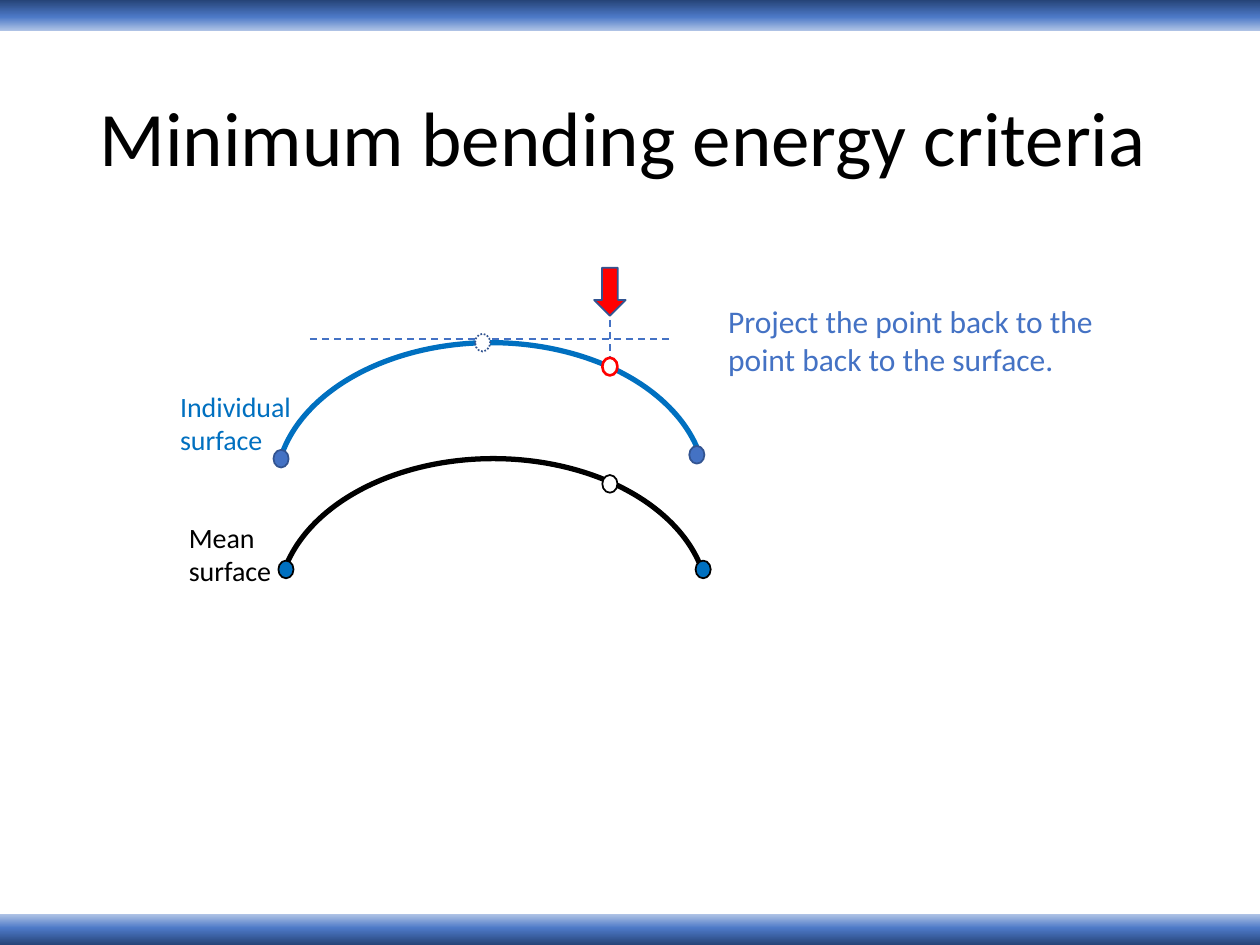
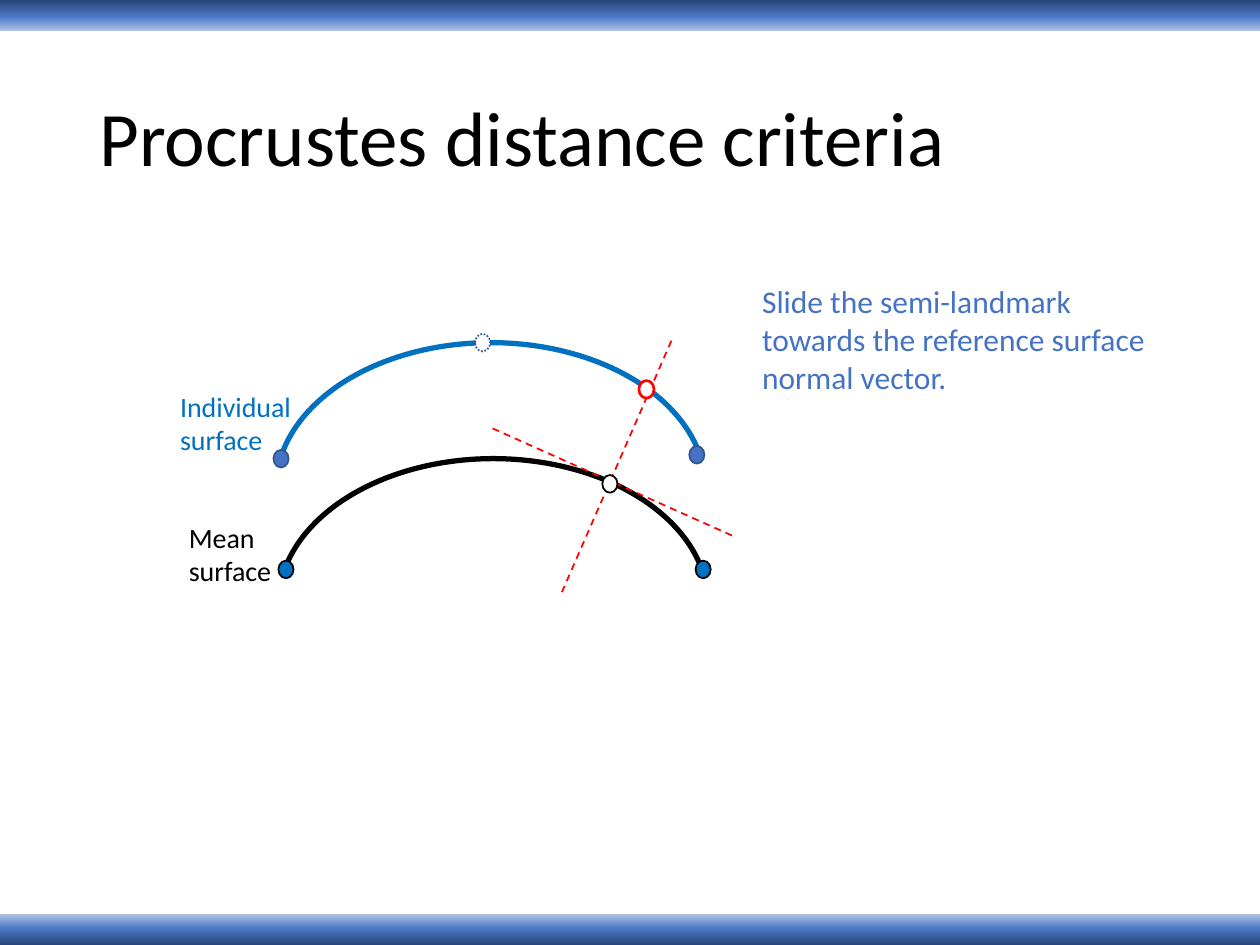
from copy import deepcopy

from lxml import etree
from pptx import Presentation
from pptx.dml.color import RGBColor
from pptx.enum import dml, shapes, text
from pptx.oxml import ns
from pptx.util import Pt

WHITE = RGBColor(0xFF, 0xFF, 0xFF)
BLACK = RGBColor(0x00, 0x00, 0x00)
RED = RGBColor(0xFF, 0x00, 0x00)
ACCENT = RGBColor(0x44, 0x72, 0xC4)
OUTLINE = RGBColor(0x32, 0x54, 0x91)
SURFACE_BLUE = RGBColor(0x00, 0x70, 0xC0)
BAND_STOPS = (
    (0, RGBColor(0xB4, 0xC7, 0xE7)),
    (0.46, RGBColor(0x4D, 0x79, 0xC7)),
    (1, RGBColor(0x26, 0x44, 0x78)),
)

FONT = "Calibri"
WIDTH, HEIGHT, BAND = 720, 540, 18
ARC_WIDTH, ARC_HEIGHT = 245.5, 166.3
DOT_WIDTH, DOT_HEIGHT = 8.64, 10.08
DASH = dml.MSO_LINE.DASH
DOTTED = dml.MSO_LINE.ROUND_DOT
SHAPE = shapes.MSO_SHAPE


def style_line(line, color, weight, dash=None):
    line.color.rgb = color
    line.width = Pt(weight)
    if dash is not None:
        line.dash_style = dash


def add_figure(page, kind, left, top, width, height, fill=None):
    figure = page.shapes.add_shape(kind, Pt(left), Pt(top), Pt(width), Pt(height))
    figure.shadow.inherit = False
    if fill is None:
        figure.fill.background()
    else:
        figure.fill.solid()
        figure.fill.fore_color.rgb = fill
    return figure


def add_band(page, top, rotation):
    band = add_figure(page, SHAPE.RECTANGLE, 0, top, WIDTH, BAND)
    band.rotation = rotation
    band.line.fill.background()
    band.fill.gradient()
    band.fill.gradient_angle = 90
    stops = band.fill._xPr.find(".//" + ns.qn("a:gsLst"))
    stops.insert(1, deepcopy(stops[0]))
    for stop, (position, color) in zip(band.fill.gradient_stops, BAND_STOPS):
        stop.position = position
        stop.color.rgb = color


def add_text(page, words, left, top, width, height, size, color):
    box = page.shapes.add_textbox(Pt(left), Pt(top), Pt(width), Pt(height))
    box.text_frame.word_wrap = True
    para = box.text_frame.paragraphs[0]
    span = para.add_run()
    span.text = words
    span.font.name = FONT
    span.font.size = Pt(size)
    span.font.color.rgb = color
    return box


def add_title(page, words):
    box = add_text(page, words, 49.7, 28.8, 620.6, 104.4, 44, BLACK)
    box.text_frame.vertical_anchor = text.MSO_ANCHOR.MIDDLE
    box.text_frame.paragraphs[0].line_spacing = 0.9


def add_guide(page, color, start, end):
    guide = page.shapes.add_connector(
        shapes.MSO_CONNECTOR.STRAIGHT, *(Pt(value) for value in start + end))
    style_line(guide.line, color, 1, DASH)
    etree.SubElement(guide._element.spPr, ns.qn("a:effectLst"))


def add_surface(page, left, top, angles, color):
    arc = add_figure(page, SHAPE.ARC, left, top, ARC_WIDTH, ARC_HEIGHT)
    arc.adjustments[0], arc.adjustments[1] = angles
    style_line(arc.line, color, 3)


def add_landmark(page, center, fill, outline, weight=1, dash=None):
    x, y = center
    dot = add_figure(page, SHAPE.OVAL, x - DOT_WIDTH / 2, y - DOT_HEIGHT / 2,
                     DOT_WIDTH, DOT_HEIGHT, fill)
    style_line(dot.line, outline, weight, dash)


def add_push_arrow(page):
    arrow = add_figure(page, SHAPE.RIGHT_ARROW, 334.8, 157.7, 27.4, 18, RED)
    arrow.rotation = 90
    style_line(arrow.line, OUTLINE, 1)


def add_criteria_page(deck, title, guide_color, guides, slid_point):
    page = deck.slides.add_slide(deck.slide_layouts[6])
    add_band(page, 0, 0)
    add_band(page, HEIGHT - BAND, 180)
    add_title(page, title)

    add_surface(page, 159.1, 262.1, (112.88, 211.41), BLACK)
    for start, end in guides:
        add_guide(page, guide_color, start, end)
    add_surface(page, 157.7, 195.8, (112.12, 211.19), SURFACE_BLUE)

    for center in ((398.2, 259.9), (160.6, 262.1)):
        add_landmark(page, center, ACCENT, OUTLINE)
    for center in ((401.8, 325.4), (163.4, 325.4)):
        add_landmark(page, center, SURFACE_BLUE, BLACK)
    add_landmark(page, (348.5, 276.5), WHITE, BLACK)
    add_landmark(page, (275.8, 195.8), WHITE, OUTLINE, dash=DOTTED)
    add_landmark(page, slid_point, WHITE, RED, 1.5)

    add_text(page, "Individual surface", 95.8, 218.9, 123.1, 46.1, 16, SURFACE_BLUE)
    add_text(page, "Mean surface", 100.8, 293.8, 87.8, 46.1, 16, BLACK)
    return page


def main():
    deck = Presentation()
    deck.slide_width, deck.slide_height = Pt(WIDTH), Pt(HEIGHT)

    bending = add_criteria_page(
        deck, "Minimum bending energy criteria", ACCENT,
        (((348.5, 162), (348.5, 209.5)), ((177.1, 193.7), (383.8, 193.7))),
        (348.5, 209.5))
    add_text(bending, "Project the point back to the point back to the surface.",
             409, 169.2, 265, 72.7, 18, ACCENT)
    add_push_arrow(bending)

    procrustes = add_criteria_page(
        deck, "Procrustes distance criteria", RED,
        (((321.1, 338.4), (383.8, 194.4)), ((281.5, 244.8), (419.8, 306.7))),
        (369.4, 222.5))
    add_text(procrustes,
             "Slide the semi-landmark towards the reference surface normal vector.",
             428.4, 157.7, 245.5, 72.7, 18, ACCENT)

    deck.save("out.pptx")


if __name__ == "__main__":
    main()
